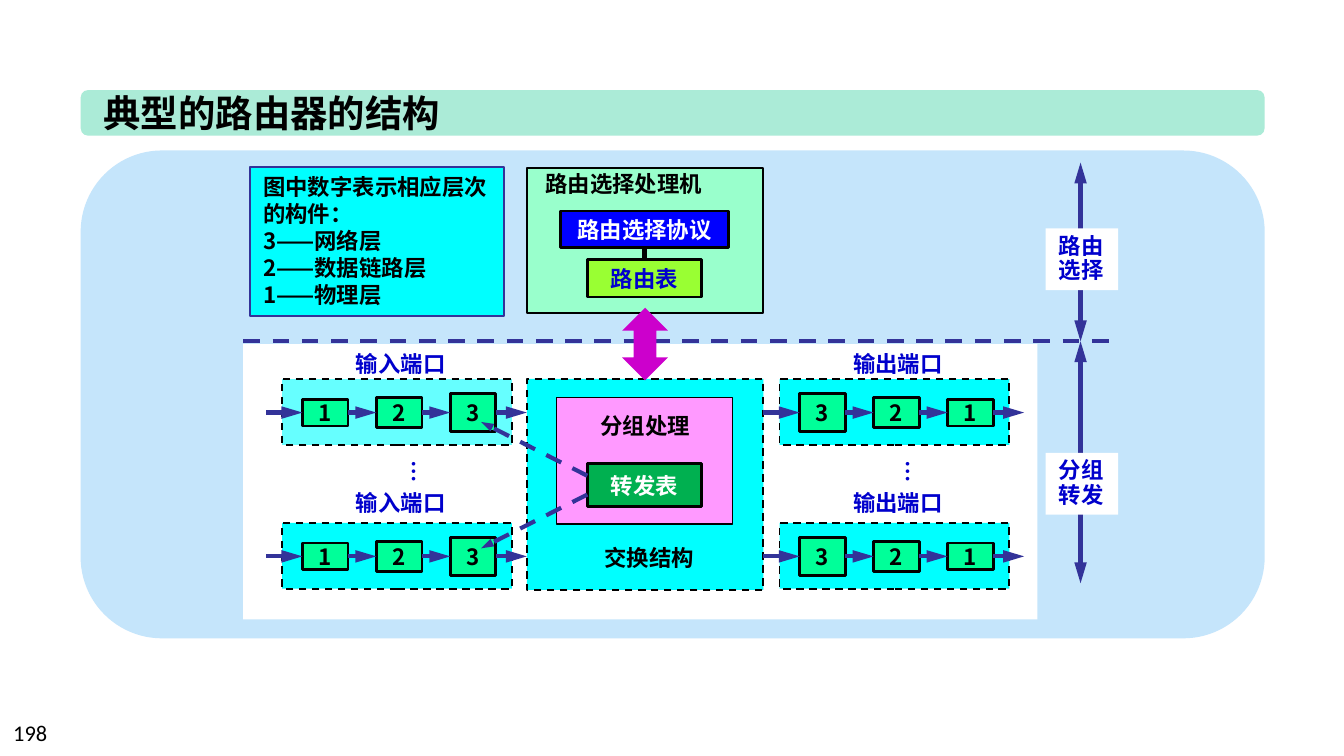
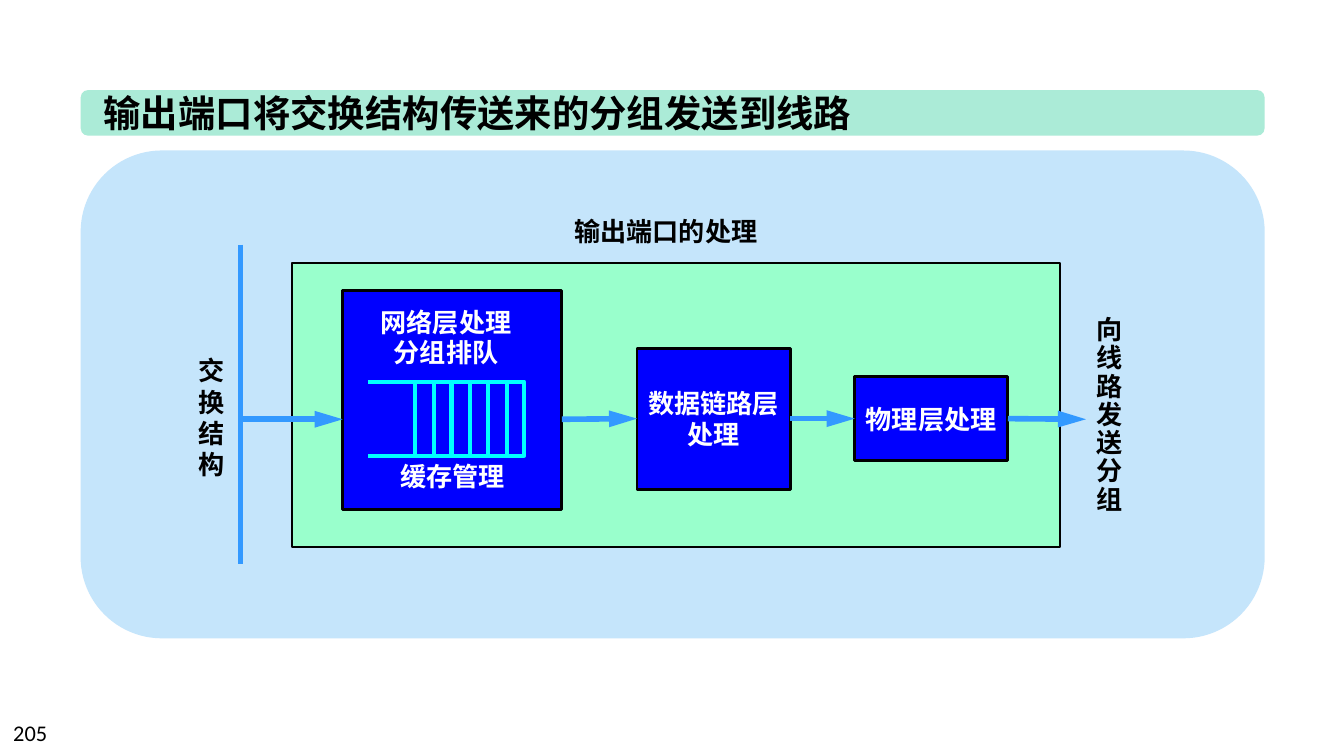
"""Build two slides on router structure and output port processing."""
from dataclasses import dataclass
from typing import NamedTuple

from lxml.etree import SubElement
from pptx import Presentation
from pptx.dml.color import RGBColor
from pptx.enum.dml import MSO_LINE_DASH_STYLE as Dash
from pptx.enum.shapes import MSO_CONNECTOR_TYPE as Link, MSO_SHAPE as Kind
from pptx.enum.text import MSO_ANCHOR as Anchor, MSO_AUTO_SIZE as Fit, PP_ALIGN as Align
from pptx.oxml.ns import qn
from pptx.shapes.autoshape import Shape
from pptx.slide import Slide
from pptx.text.text import TextFrame
from pptx.util import Emu, Pt

PX = 9144
CJK = "Noto Sans CJK SC"
BLACK, WHITE, BLUE, INK = "000000", "FFFFFF", "0000FF", "0000CC"
PANEL, BAND, MINT, CYAN = "C5E5FB", "ABEBD7", "99FFCC", "00FFFF"
INDIGO, SKY, MAGENTA, PINK = "333399", "3399FF", "CC00CC", "FF99FF"
LIME, FOREST, SPRING, PALE_CYAN = "99FF33", "00B050", "00FF99", "66FFFF"


class Box(NamedTuple):
    """Position and size in px."""
    left: int
    top: int
    width: int
    height: int


class Point(NamedTuple):
    """Place in px."""
    x: int
    y: int


class Side(NamedTuple):
    """Middle of one side of a shape."""
    shape: Shape
    site: int


class Layer(NamedTuple):
    """Box of one protocol layer inside a port."""
    number: str
    height: int


@dataclass(frozen=True)
class Port:
    """One router port with its three layer boxes."""
    left: int
    middle: int
    caption: str
    caption_top: int
    layers: tuple[Layer, ...]
    fill: str = CYAN


@dataclass(frozen=True)
class Stage:
    """Labelled box with a coloured fill."""
    text: str
    box: Box
    fill: str
    color: str = WHITE
    size: int = 12


@dataclass(frozen=True)
class Label:
    """Free-standing text."""
    text: str
    box: Box
    color: str = BLACK
    size: int = 12
    align: Align = Align.LEFT
    spacing: float = 1.0
    rotation: int = 0


def paint(code: str) -> RGBColor:
    """Turn a hex string into a colour."""
    return RGBColor.from_string(code)


def emu(*lengths: int) -> list[Emu]:
    """Scale px lengths to EMU."""
    return [Emu(length * PX) for length in lengths]


def write(frame: TextFrame, text: str, *, size: int = 12, color: str = BLACK,
          bold: bool = True, font: str = CJK, align: Align = Align.LEFT,
          anchor: Anchor = Anchor.TOP, spacing: float = 1.0, wrap: bool = False) -> None:
    """Fill a frame with one paragraph per line of text."""
    frame.auto_size = Fit.NONE
    frame.word_wrap = wrap
    frame.vertical_anchor = anchor
    frame.text = text
    for paragraph in frame.paragraphs:
        paragraph.alignment = align
        paragraph.line_spacing = spacing
        for run in paragraph.runs:
            run.font.size = Pt(size)
            run.font.bold = bold
            run.font.color.rgb = paint(color)
            run.font.name = font
            SubElement(run.font._element, qn("a:ea")).set("typeface", font)


def block(slide: Slide, box: Box, fill: str, *, line: str | None = None, width: float = 1,
          dashed: bool = False, kind: Kind = Kind.RECTANGLE) -> Shape:
    """Draw a filled preset shape."""
    shape = slide.shapes.add_shape(kind, *emu(*box))
    shape.shadow.inherit = False
    shape.fill.solid()
    shape.fill.fore_color.rgb = paint(fill)
    if line is None:
        shape.line.fill.background()
        return shape
    shape.line.color.rgb = paint(line)
    shape.line.width = Pt(width)
    if dashed:
        shape.line.dash_style = Dash.DASH
    return shape


def draw_stage(slide: Slide, stage: Stage) -> Shape:
    """Draw an outlined box with centred text."""
    shape = block(slide, stage.box, stage.fill, line=BLACK, width=1.5)
    write(shape.text_frame, stage.text, size=stage.size, color=stage.color,
          align=Align.CENTER, anchor=Anchor.MIDDLE)
    return shape


def draw_label(slide: Slide, label: Label) -> None:
    """Draw text without a box."""
    holder = slide.shapes.add_textbox(*emu(*label.box))
    holder.rotation = label.rotation
    write(holder.text_frame, label.text, size=label.size, color=label.color,
          align=label.align, spacing=label.spacing)


def connect(slide: Slide, start: Point | Side, end: Point | Side, color: str = INDIGO,
            width: float = 2.25, *, ends: tuple[str, ...] = (), dashed: bool = False,
            head: tuple[str, str] = ("med", "lg")) -> None:
    """Draw a straight line, joined to shapes where a side is given."""
    places = [place if isinstance(place, Point) else Point(0, 0) for place in (start, end)]
    line = slide.shapes.add_connector(Link.STRAIGHT, *emu(*places[0], *places[1]))
    if isinstance(start, Side):
        line.begin_connect(*start)
    if isinstance(end, Side):
        line.end_connect(*end)
    line.line.color.rgb = paint(color)
    line.line.width = Pt(width)
    if dashed:
        line.line.dash_style = Dash.DASH
    properties = line.element.spPr
    for end_tag in ends:
        tip = SubElement(properties.find(qn("a:ln")), qn(end_tag))
        for key, value in zip(("type", "w", "len"), ("triangle", *head)):
            tip.set(key, value)
    SubElement(properties, qn("a:effectLst"))


TO = ("a:tailEnd",)
BOTH = ("a:headEnd", "a:tailEnd")


def start_slide(deck: Presentation, heading: str, width: int, number: str) -> Slide:
    """Add a slide with the shared panel, title band and page number."""
    slide = deck.slides.add_slide(deck.slide_layouts[5])
    block(slide, Box(60, 112, 881, 363), PANEL, kind=Kind.ROUNDED_RECTANGLE)
    block(slide, Box(60, 67, 881, 34), BAND, kind=Kind.ROUNDED_RECTANGLE)
    title = slide.shapes.title
    title.left, title.top, title.width, title.height = emu(67, 62, width, 44)
    write(title.text_frame, heading, size=20)
    title.element.getparent().append(title.element)
    page = slide.shapes.add_textbox(*emu(0, 530, 233, 30))
    write(page.text_frame, number, bold=False, font="Calibri", wrap=True)
    return slide


def draw_port(slide: Slide, port: Port) -> None:
    """Draw a port frame, its layers and the arrows through them."""
    block(slide, Box(port.left, port.middle - 25, 171, 49), port.fill,
          line=BLACK, dashed=True)
    draw_label(slide, Label(port.caption, Box(port.left + 45, port.caption_top, 88, 30), INK))
    source = Point(port.left - 12, port.middle)
    for step, layer in enumerate(port.layers):
        box = Box(port.left + 15 + 55 * step, port.middle - layer.height // 2,
                  34, layer.height)
        unit = draw_stage(slide, Stage(layer.number, box, SPRING, BLACK))
        connect(slide, source, Side(unit, 1), ends=TO)
        source = Side(unit, 3)
    connect(slide, source, Point(port.left + 182, port.middle), ends=TO)


def router_structure(deck: Presentation) -> None:
    """Build the slide on the structure of a typical router."""
    slide = start_slide(deck, "典型的路由器的结构", 273, "198")
    block(slide, Box(181, 256, 591, 205), WHITE)
    block(slide, Box(392, 125, 176, 108), MINT, line=BLACK)
    protocol = draw_stage(slide, Stage("路由选择协议", Box(417, 157, 125, 27), BLUE))
    routes = draw_stage(slide, Stage("路由表", Box(437, 193, 85, 28), LIME, INK))
    connect(slide, Side(protocol, 2), Side(routes, 0), BLACK)

    block(slide, Box(392, 282, 176, 157), CYAN, line=BLACK, dashed=True)
    block(slide, Box(414, 296, 131, 94), PINK, line=BLACK, width=0.75)
    draw_stage(slide, Stage("转发表", Box(437, 345, 85, 32), FOREST))

    inward = (Layer("1", 20), Layer("2", 22), Layer("3", 28))
    outward = inward[::-1]
    for middle, caption_top, fill in ((307, 256, PALE_CYAN), (414, 359, CYAN)):
        draw_port(slide, Port(210, middle, "输入端口", caption_top, inward, fill))
        draw_port(slide, Port(580, middle, "输出端口", caption_top, outward))
    for leave, arrive in ((354, 314), (368, 408)):
        connect(slide, Point(437, leave), Point(358, arrive), ends=TO, dashed=True,
                head=("sm", "med"))

    connect(slide, Point(181, 254), Point(830, 254), dashed=True)
    for text, top, bottom, label_top in (("路由\n选择", 121, 254, 170),
                                         ("分组\n转发", 254, 434, 337)):
        connect(slide, Point(804, top), Point(804, bottom), ends=BOTH)
        plate = block(slide, Box(778, label_top, 54, 46), WHITE)
        write(plate.text_frame, text, color=INK, spacing=0.9)

    exchange = block(slide, Box(463, 229, 34, 54), MAGENTA, kind=Kind.UP_DOWN_ARROW)
    exchange.adjustments[0], exchange.adjustments[1] = 0.34, 0.5
    legend = block(slide, Box(186, 124, 189, 111), CYAN, line=INDIGO)
    write(legend.text_frame, "图中数字表示相应层次的构件：\n3——网络层\n2——数据链路层\n1——物理层",
          wrap=True)
    for label in (Label("路由选择处理机", Box(396, 122, 138, 30)),
                  Label("分组处理", Box(437, 302, 88, 30)),
                  Label("交换结构", Box(440, 400, 88, 30)),
                  Label("…", Box(290, 336, 36, 30), INK, rotation=90),
                  Label("…", Box(658, 336, 36, 30), INK, rotation=90)):
        draw_label(slide, label)


def draw_queue(slide: Slide) -> None:
    """Draw the packet buffer as an open outline with cell dividers."""
    left, right, top, bottom = 274, 390, 284, 339
    builder = slide.shapes.build_freeform(left, top, scale=PX)
    builder.add_line_segments([(right, top), (right, bottom), (left, bottom)], close=False)
    outline = builder.convert_to_shape()
    outline.shadow.inherit = False
    outline.fill.background()
    outline.line.color.rgb = paint(CYAN)
    outline.line.width = Pt(2.25)
    for cell in range(6):
        x = round(309 + 13.6 * cell)
        connect(slide, Point(x, top), Point(x, bottom), CYAN)


def output_port(deck: Presentation) -> None:
    """Build the slide on output port processing."""
    slide = start_slide(deck, "输出端口将交换结构传送来的分组发送到线路", 590, "205")
    block(slide, Box(217, 196, 572, 211), MINT, line=BLACK)
    block(slide, Box(255, 216, 163, 163), BLUE, line=BLACK, width=1.5)
    data_link = draw_stage(slide, Stage("数据链路层\n处理", Box(474, 259, 114, 105), BLUE, size=14))
    physical = draw_stage(slide, Stage("物理层处理", Box(636, 280, 114, 63), BLUE, size=14))

    flow = 312
    for start, end in ((Point(179, flow), Point(255, flow)),
                       (Point(418, flow), Side(data_link, 1)),
                       (Side(data_link, 3), Side(physical, 1)),
                       (Side(physical, 3), Point(808, flow))):
        connect(slide, start, end, SKY, 3, ends=TO)
    connect(slide, Point(179, 182), Point(179, 420), SKY, 3)
    draw_queue(slide)

    for label in (Label("网络层处理\n分组排队", Box(273, 225, 118, 55), WHITE, 14,
                        Align.CENTER, 0.95),
                  Label("缓存管理", Box(288, 338, 99, 34), WHITE, 14),
                  Label("输出端口的处理", Box(411, 155, 169, 34), size=14, align=Align.CENTER),
                  Label("\n".join("向线路发送分组"), Box(806, 231, 40, 159), size=14, spacing=0.9),
                  Label("\n".join("交换结构"), Box(138, 259, 40, 104), size=14)):
        draw_label(slide, label)


def main() -> None:
    """Build and save the presentation."""
    deck = Presentation()
    deck.slide_width, = emu(1000)
    deck.slide_height = Emu(deck.slide_width * 9 // 16)
    router_structure(deck)
    output_port(deck)
    deck.save("out.pptx")


if __name__ == "__main__":
    main()
